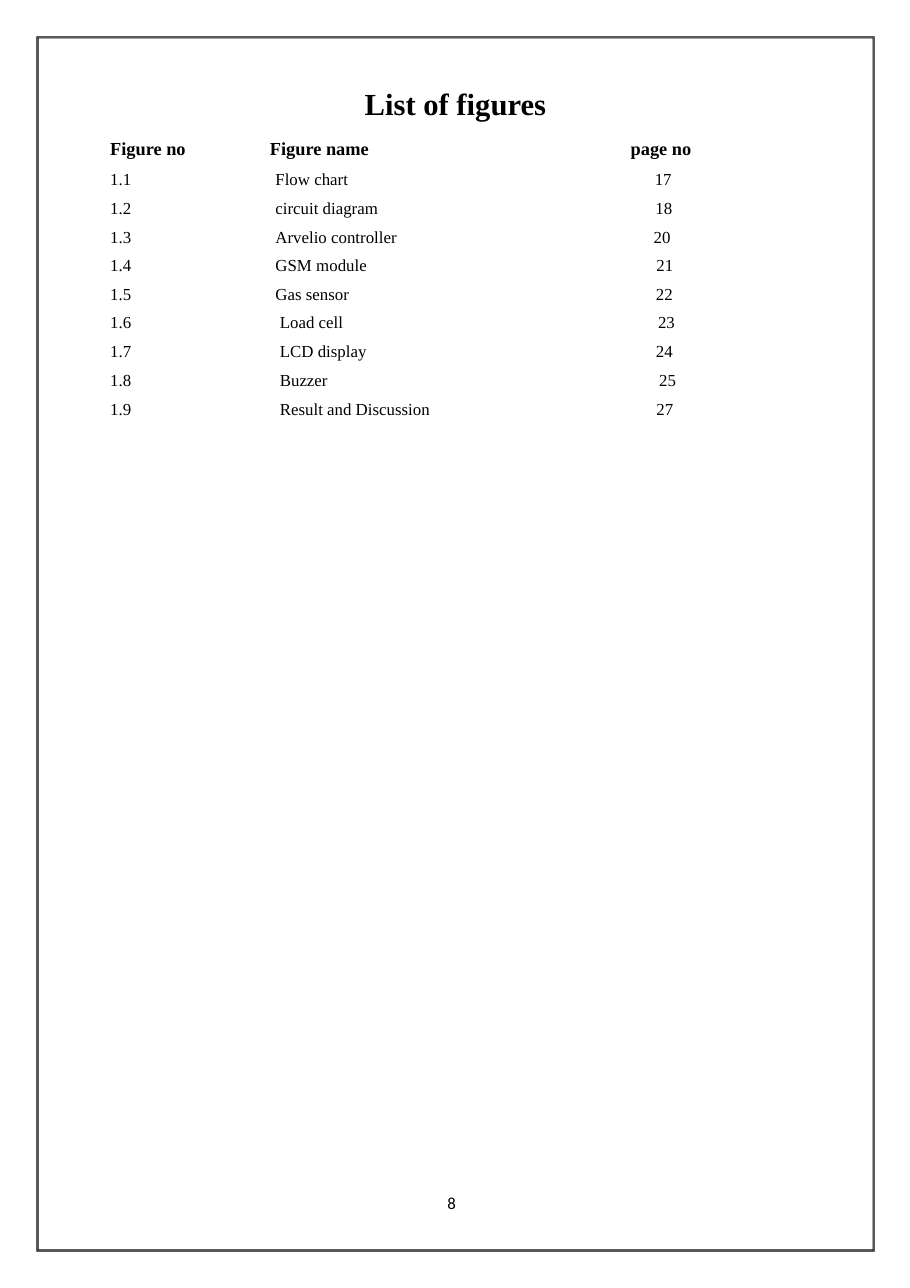
from dataclasses import dataclass

from pptx import Presentation
from pptx import util as u
from pptx.dml import color
from pptx.enum import text

COLOURS = {"ink": "000000", "paper": "FFFFFF"}
SERIF = "Times New Roman"
COLUMN_WIDTHS = (1.1, 2.74, 1.5)
ROW_HEIGHTS = (0.24, 0.27, *[0.26] * 7, 0.22)
NUMBER_INDENT = 0.03


@dataclass(frozen=True)
class Style:
    size: float
    font: str = SERIF
    bold: bool = False
    before: float = 0
    line: float | None = None


@dataclass(frozen=True)
class Label:
    words: str
    left: float
    top: float
    width: float
    height: float
    inset_top: float
    indent: float
    style: Style


@dataclass(frozen=True)
class Figure:
    number: str
    name: str
    page_number: str
    name_indent: float
    page_indent: float


HEADING = Style(12, bold=True, line=13.1)
ENTRY = Style(11, before=2.2)
LAST_ENTRY = Style(11, before=2.2, line=12.4)

LABELS = (
    Label("List of figures", 3.3, 0.76, 1.68, 0.36, 0.01, 0.01, Style(20, bold=True, before=1)),
    Label("8", 4.02, 10.85, 0.24, 0.18, 0, 0.04, Style(11, font="Calibri", line=11.5)),
)

FIGURES = (
    Figure("Figure no", "Figure name", "page no", 0.38, 0.88),
    Figure("1.1", "Flow chart", "17", 0.43, 0.92),
    Figure("1.2", "circuit diagram", "18", 0.43, 0.93),
    Figure("1.3", "Arvelio controller", "20", 0.43, 0.9),
    Figure("1.4", "GSM module", "21", 0.43, 0.95),
    Figure("1.5", "Gas sensor", "22", 0.43, 0.94),
    Figure("1.6", "Load cell", "23", 0.47, 0.98),
    Figure("1.7", "LCD display", "24", 0.47, 0.94),
    Figure("1.8", "Buzzer", "25", 0.47, 1),
    Figure("1.9", "Result and Discussion", "27", 0.47, 0.95),
)


def rgb(name: str) -> color.RGBColor:
    return color.RGBColor.from_string(COLOURS[name])


def apply(target, values: dict) -> None:
    for name, value in values.items():
        setattr(target, name, value)


def margins(top: float) -> dict:
    return {"margin_left": 0, "margin_top": u.Inches(top), "margin_right": 0, "margin_bottom": 0}


def write(frame, words: str, style: Style, indent: float, centred: bool = False) -> None:
    para = frame.paragraphs[0]
    align = text.PP_ALIGN.CENTER if centred else text.PP_ALIGN.LEFT
    apply(para, {"alignment": align, "space_before": u.Pt(style.before)})
    if style.line:
        para.line_spacing = u.Pt(style.line)
    properties = para._p.get_or_add_pPr()
    properties.set("marL", str(u.Inches(indent)))
    properties.set("indent", "0")
    span = para.add_run()
    span.text = words
    apply(span.font, {"name": style.font, "size": u.Pt(style.size), "bold": style.bold})
    span.font.color.rgb = rgb("ink")


def add_label(page, label: Label) -> None:
    box = page.shapes.add_textbox(
        *map(u.Inches, (label.left, label.top, label.width, label.height))
    )
    apply(box.text_frame, {"word_wrap": True, **margins(label.inset_top)})
    write(box.text_frame, label.words, label.style, label.indent)


def add_figure_table(page) -> None:
    table = page.shapes.add_table(
        len(FIGURES), len(COLUMN_WIDTHS), u.Inches(0.97), u.Inches(1.27),
        u.Inches(sum(COLUMN_WIDTHS)), u.Inches(sum(ROW_HEIGHTS)),
    ).table
    apply(table, {"first_row": False, "horz_banding": False})
    for column, width in zip(table.columns, COLUMN_WIDTHS):
        column.width = u.Inches(width)
    for index, (row, height, figure) in enumerate(zip(table.rows, ROW_HEIGHTS, FIGURES)):
        row.height = u.Inches(height)
        style = {0: HEADING, len(FIGURES) - 1: LAST_ENTRY}.get(index, ENTRY)
        inset = {0: 0, 1: 0.04}.get(index, 0.03)
        entries = (
            (figure.number, NUMBER_INDENT, False),
            (figure.name, figure.name_indent, False),
            (figure.page_number, figure.page_indent, True),
        )
        for cell, (words, indent, centred) in zip(row.cells, entries):
            cell.fill.background()
            apply(cell, margins(inset))
            write(cell.text_frame, words, style, indent, centred)


def add_page_border(page) -> None:
    left, top, right, bottom = map(u.Inches, (0.33, 0.33, 7.94, 11.36))
    hairline = u.Inches(0.01) // 2
    builder = page.shapes.build_freeform(left, top)
    for order, steps in enumerate((0, 2, 3, 4)):
        inset = steps * hairline
        x1, y1, x2, y2 = left + inset, top + inset, right - inset, bottom - inset
        corners = [(x2, y1), (x2, y2), (x1, y2)]
        if order:
            builder.move_to(x1, y1)
        builder.add_line_segments(corners[::-1] if order % 2 else corners, close=True)
    border = builder.convert_to_shape()
    border.shadow.inherit = False
    border.fill.solid()
    border.fill.fore_color.rgb = rgb("ink")
    border.line.fill.background()


def main() -> None:
    deck = Presentation()
    apply(deck, {"slide_width": u.Inches(8.26), "slide_height": u.Inches(11.69)})
    page = deck.slides.add_slide(deck.slide_layouts[6])
    page.background.fill.solid()
    page.background.fill.fore_color.rgb = rgb("paper")
    add_figure_table(page)
    add_page_border(page)
    for label in LABELS:
        add_label(page, label)
    deck.save("out.pptx")


if __name__ == "__main__":
    main()
